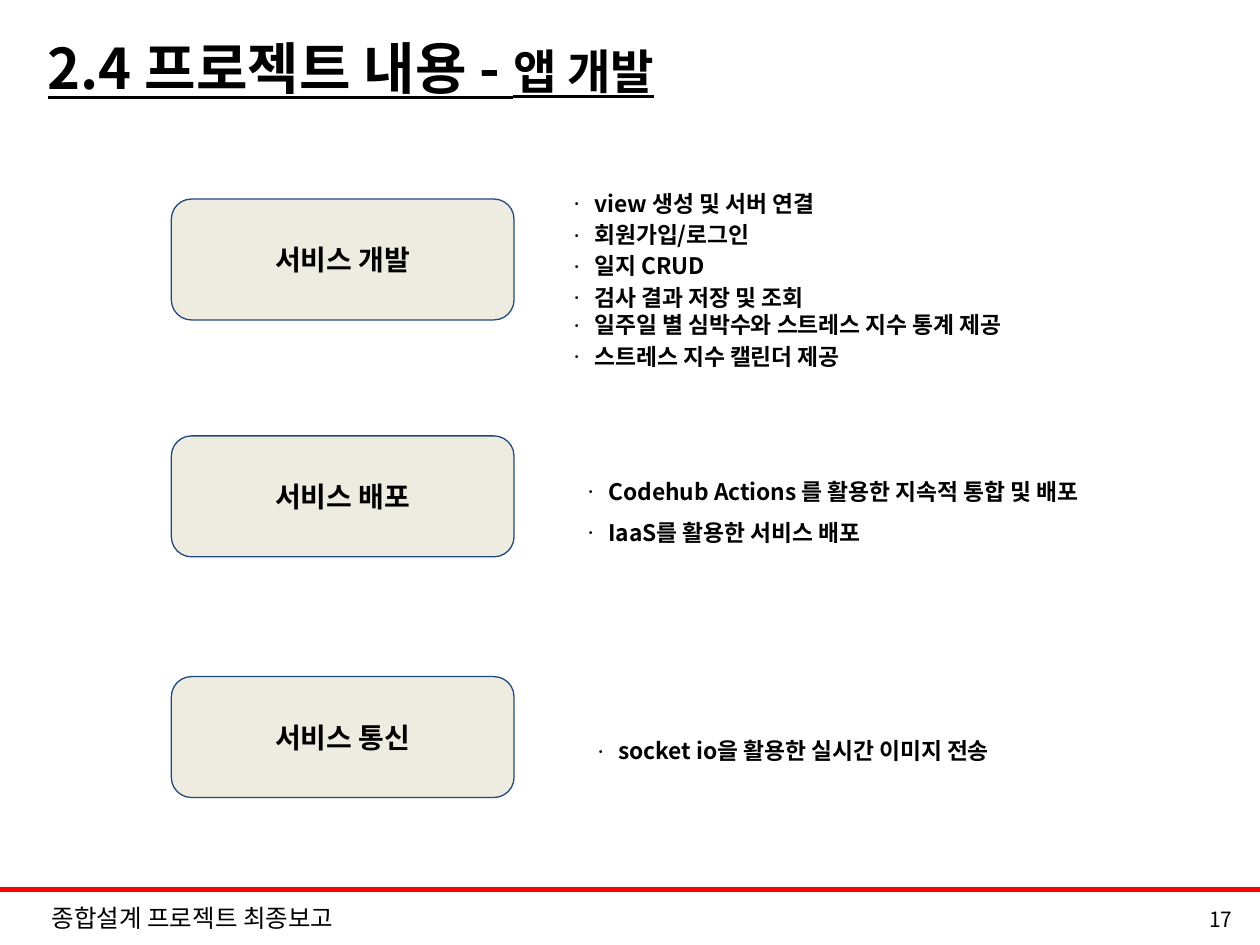
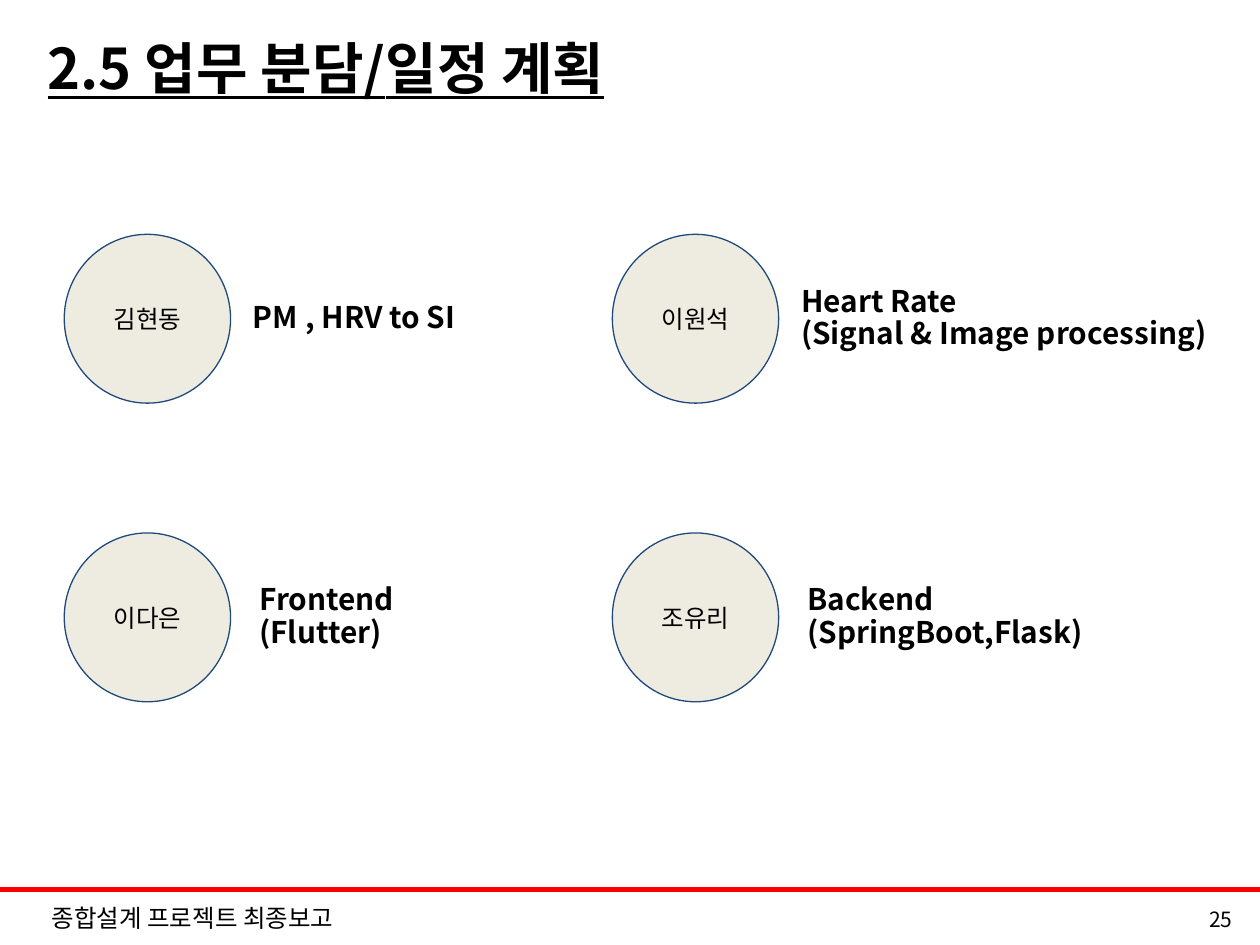
from pptx import Presentation
from pptx.dml.color import RGBColor
from pptx.enum.shapes import MSO_CONNECTOR, MSO_SHAPE
from pptx.enum.text import MSO_ANCHOR, PP_ALIGN
from pptx.oxml.ns import qn
from pptx.util import Inches, Pt
from lxml.etree import SubElement

FONT = "Noto Sans CJK KR"
INK, PAPER, SAND, NAVY, RED = "000000", "FFFFFF", "EEECE1", "1F497D", "FF0000"
COLUMNS, ROWS = 100, 75
FOOTER_ROW = 70.6
BULLET_INDENT = 2.2

SERVICES = [
    ("서비스 개발", 15.8, (44, 13.7, 55, 16.5), [
        ("view 생성 및 서버 연결", 1.15),
        ("회원가입/로그인", 1.15),
        ("일지 CRUD", 1.15),
        ("검사 결과 저장 및 조회", 1.15),
        ("일주일 별 심박수와 스트레스 지수 통계 제공", 1.0),
        ("스트레스 지수 캘린더 제공", 1.15),
    ]),
    ("서비스 배포", 34.6, (45.1, 35.8, 53.9, 7.5), [
        ("Codehub Actions 를 활용한 지속적 통합 및 배포", 1.5),
        ("IaaS를 활용한 서비스 배포", 1.5),
    ]),
    ("서비스 통신", 53.7, (45.9, 56.4, 53.1, 4.2), [
        ("socket io을 활용한 실시간 이미지 전송", 1.5),
    ]),
]

MEMBERS = [
    [("김현동", ["PM , HRV to SI"]),
     ("이원석", ["Heart Rate", "(Signal & Image processing)"])],
    [("이다은", ["Frontend", "(Flutter)"]),
     ("조유리", ["Backend", "(SpringBoot,Flask)"])],
]


def color(value):
    return RGBColor.from_string(value)


def write(paragraph, text, size=14, bold=False, underline=False):
    run = paragraph.add_run()
    run.text = text
    font = run.font
    font.size, font.bold, font.underline = Pt(size), bold, underline
    font.color.rgb = color(INK)
    font.name = FONT
    SubElement(font._element, qn("a:ea")).set("typeface", FONT)


class Deck:
    def __init__(self):
        self.show = Presentation()
        self.show.slide_width, self.show.slide_height = Inches(10), Inches(7.5)
        self.slide = None

    def col(self, count):
        return round(self.show.slide_width * count / COLUMNS)

    def row(self, count):
        return round(self.show.slide_height * count / ROWS)

    def area(self, left, top, width, height):
        return self.col(left), self.row(top), self.col(width), self.row(height)

    def prepare(self, frame, pad_x, pad_y, anchor):
        frame.word_wrap = True
        frame.vertical_anchor = anchor
        frame.margin_left = frame.margin_right = self.col(pad_x)
        frame.margin_top = frame.margin_bottom = self.row(pad_y)
        return frame

    def text_box(self, area, pad_y=1, anchor=MSO_ANCHOR.MIDDLE):
        box = self.slide.shapes.add_textbox(*self.area(*area))
        return self.prepare(box.text_frame, 1, pad_y, anchor)

    def panel(self, kind, area, label, fill=SAND, outline=NAVY, pad_x=1,
              align=PP_ALIGN.CENTER, **style):
        shape = self.slide.shapes.add_shape(kind, *self.area(*area))
        shape.shadow.inherit = False
        shape.fill.solid()
        shape.fill.fore_color.rgb = color(fill)
        if outline:
            shape.line.color.rgb = color(outline)
            shape.line.width = Pt(0.75)
        else:
            shape.line.fill.background()
        frame = self.prepare(shape.text_frame, pad_x, 0, MSO_ANCHOR.MIDDLE)
        frame.paragraphs[0].alignment = align
        write(frame.paragraphs[0], label, **style)

    def rule(self, row):
        line = self.slide.shapes.add_connector(
            MSO_CONNECTOR.STRAIGHT, 0, self.row(row), self.col(COLUMNS), self.row(row))
        line.line.color.rgb = color(RED)
        line.line.width = Pt(3)
        SubElement(line._element.spPr, qn("a:effectLst"))

    def lines(self, frame, entries, bulleted=False, **style):
        for index, (text, spacing) in enumerate(entries):
            paragraph = frame.add_paragraph() if index else frame.paragraphs[0]
            paragraph.alignment = PP_ALIGN.LEFT
            paragraph.line_spacing = spacing
            if bulleted:
                self.bullet(paragraph)
            write(paragraph, text, bold=True, **style)

    def bullet(self, paragraph):
        properties = paragraph._p.get_or_add_pPr()
        properties.set("marL", str(self.col(BULLET_INDENT)))
        properties.set("indent", str(-self.col(BULLET_INDENT)))
        SubElement(properties, qn("a:buFont")).set("typeface", FONT)
        SubElement(properties, qn("a:buChar")).set("char", "ㆍ")

    def new_slide(self, number, *title_parts):
        self.slide = self.show.slides.add_slide(self.show.slide_layouts[6])
        self.panel(MSO_SHAPE.RECTANGLE, (0, FOOTER_ROW, COLUMNS, ROWS - FOOTER_ROW),
                   "종합설계 프로젝트 최종보고", fill=PAPER, outline=None,
                   pad_x=4.1, align=PP_ALIGN.LEFT)
        self.rule(FOOTER_ROW)
        page = self.text_box((87.8, 71.4, 11, 3.1), pad_y=0.5).paragraphs[0]
        page.alignment = PP_ALIGN.RIGHT
        write(page, number, size=12)
        title = self.text_box((2.8, 2.2, 94.5, 6.2), pad_y=0.5).paragraphs[0]
        for text, size in title_parts:
            write(title, text, size=size, bold=True, underline=True)


def build_services(deck):
    deck.new_slide("17", ("2.4 프로젝트 내용 - ", 32), ("앱 개발", 27))
    for service, top, list_area, tasks in SERVICES:
        deck.panel(MSO_SHAPE.ROUNDED_RECTANGLE, (13.6, top, 27.2, 9.6),
                   service, size=16, bold=True)
        frame = deck.text_box(list_area, anchor=MSO_ANCHOR.TOP)
        deck.lines(frame, tasks, bulleted=True, size=13)


def build_members(deck):
    deck.new_slide("25", ("2.5 업무 분담/일정 계획", 32))
    for band, team in enumerate(MEMBERS):
        top = 18.6 + 23.7 * band
        for place, (member, roles) in enumerate(team):
            left = 5.1 + 43.5 * place
            deck.panel(MSO_SHAPE.OVAL, (left, top, 13.2, 13.4), member)
            frame = deck.text_box((left + 14 + band / 2, top, 36, 13.4))
            deck.lines(frame, [(role, 0.9) for role in roles], size=17)


def main():
    deck = Deck()
    build_services(deck)
    build_members(deck)
    deck.show.save("out.pptx")


if __name__ == "__main__":
    main()
